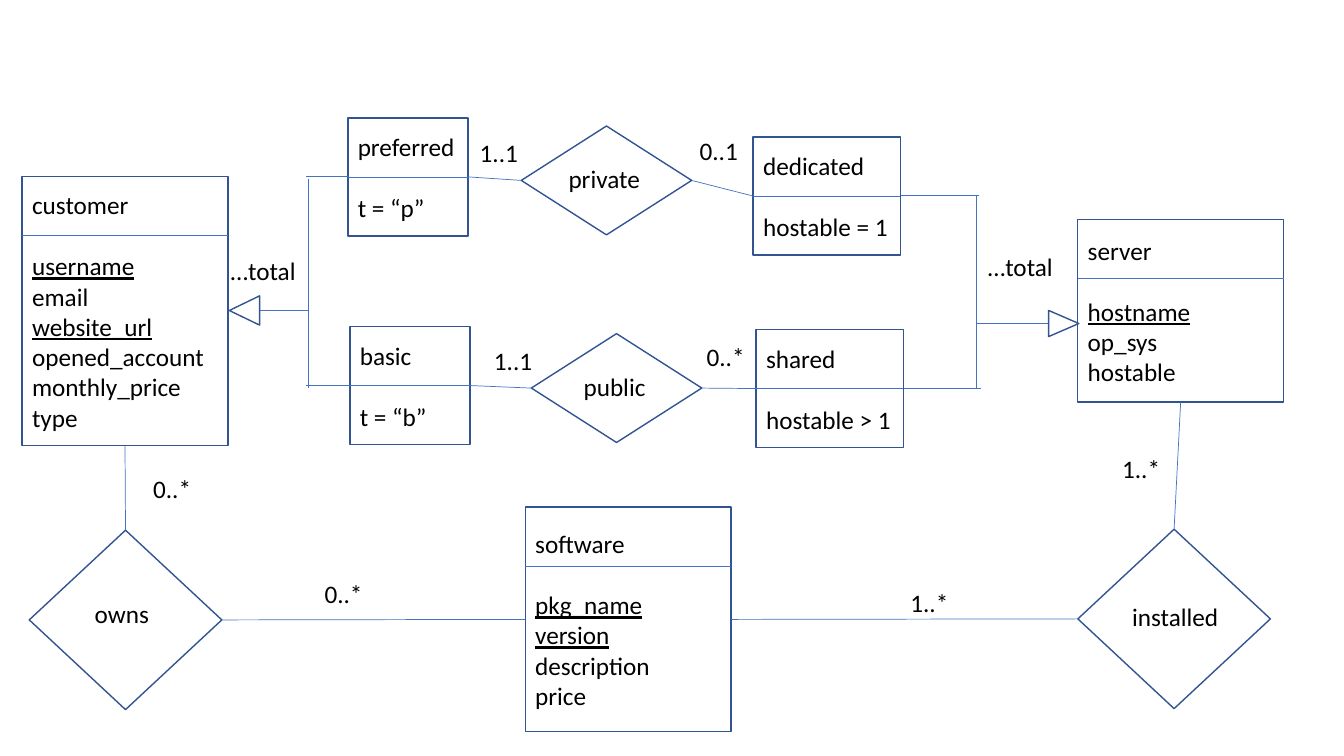
from typing import NamedTuple

from lxml import etree
from pptx import Presentation
from pptx.dml.color import RGBColor
from pptx.enum.shapes import MSO_CONNECTOR, MSO_SHAPE
from pptx.enum.text import MSO_ANCHOR, MSO_AUTO_SIZE, PP_ALIGN
from pptx.oxml.ns import qn
from pptx.util import Inches, Pt

RECT = MSO_SHAPE.RECTANGLE
DIAMOND = MSO_SHAPE.DIAMOND
TRIANGLE = MSO_SHAPE.ISOSCELES_TRIANGLE
STRAIGHT = MSO_CONNECTOR.STRAIGHT
MIDDLE = MSO_ANCHOR.MIDDLE
GROW = MSO_AUTO_SIZE.SHAPE_TO_FIT_TEXT
LEFT_ALIGN = PP_ALIGN.LEFT

OUTLINE = RGBColor(0x32, 0x54, 0x91)
LINK = RGBColor(0x44, 0x72, 0xC4)
BLACK = RGBColor(0x00, 0x00, 0x00)
FONT = "Calibri"
TEXT_SIZE = Pt(18)
BLANK_LINE = Pt(22)
HEADER_HEIGHT = 0.585
TOP, LEFT, BOTTOM, RIGHT = range(4)


class Entity(NamedTuple):
    name: str
    x: float
    y: float
    w: float
    h: float
    attributes: tuple[str, ...]
    keys: tuple[str, ...] = ()


class Relationship(NamedTuple):
    name: str
    x: float
    y: float
    w: float
    h: float


class Link(NamedTuple):
    start: str
    start_side: int
    end: str
    end_side: int


class Label(NamedTuple):
    text: str
    x: float
    y: float
    w: float


class Arrowhead(NamedTuple):
    x: float
    y: float
    w: float
    h: float
    rotation: int


class Line(NamedTuple):
    x1: float
    y1: float
    x2: float
    y2: float


ENTITIES = [
    Entity("customer", 0.22, 1.75, 2.04, 2.67,
           ("username", "email", "website_url", "opened_account", "monthly_price", "type"),
           ("username", "website_url")),
    Entity("server", 10.69, 2.18, 2.04, 1.81,
           ("hostname", "op_sys", "hostable"), ("hostname",)),
    Entity("software", 5.21, 5.03, 2.04, 2.23,
           ("pkg_name", "version", "description", "price"), ("pkg_name", "version")),
    Entity("preferred", 3.45, 1.17, 1.19, 1.17, ("t = “p”",)),
    Entity("basic", 3.47, 3.24, 1.19, 1.17, ("t = “b”",)),
    Entity("dedicated", 7.47, 1.36, 1.46, 1.17, ("hostable = 1",)),
    Entity("shared", 7.5, 3.27, 1.46, 1.17, ("hostable > 1",)),
]
RELATIONSHIPS = [
    Relationship("private", 5.17, 1.25, 1.69, 1.08),
    Relationship("public", 5.27, 3.31, 1.69, 1.08),
    Relationship("owns", 0.29, 5.26, 1.91, 1.78),
    Relationship("installed", 10.69, 5.25, 1.91, 1.78),
]
LINKS = [
    Link("preferred", RIGHT, "private", LEFT),
    Link("private", RIGHT, "dedicated", LEFT),
    Link("basic", RIGHT, "public", LEFT),
    Link("public", RIGHT, "shared", LEFT),
    Link("customer", BOTTOM, "owns", TOP),
    Link("owns", RIGHT, "software", LEFT),
    Link("software", RIGHT, "installed", LEFT),
    Link("server", BOTTOM, "installed", TOP),
]
HIERARCHY_LINES = [
    Line(2.58, 3.08, 3.06, 3.08),
    Line(3.06, 1.78, 3.06, 3.85),
    Line(3.45, 1.75, 3.04, 1.75),
    Line(3.47, 3.82, 3.04, 3.82),
    Line(10.4, 3.21, 9.68, 3.21),
    Line(9.68, 3.85, 9.68, 1.94),
    Line(8.94, 1.94, 9.71, 1.94),
    Line(8.97, 3.85, 9.73, 3.85),
]
ARROWHEADS = [
    Arrowhead(2.28, 2.93, 0.29, 0.3, 270),
    Arrowhead(10.42, 3.06, 0.26, 0.3, 90),
]
LABELS = [
    Label("…total", 2.19, 2.48, 1.31),
    Label("…total", 9.7, 2.44, 1.19),
    Label("0..*", 3.12, 5.69, 1.59),
    Label("1..*", 11.03, 4.45, 1.59),
    Label("0..*", 1.42, 4.65, 1.59),
    Label("1..*", 8.93, 5.78, 1.59),
    Label("0..*", 6.91, 3.34, 0.61),
    Label("1..1", 4.8, 3.38, 0.61),
    Label("0..1", 6.84, 1.29, 0.62),
    Label("1..1", 4.66, 1.31, 0.66),
    Label("private", 5.54, 1.57, 1.09),
    Label("public", 5.69, 3.63, 1.07),
    Label("owns", 0.84, 5.89, 1.42),
    Label("installed", 11.13, 5.92, 1.47),
]


def add_text(p, text: str, underline: bool = False) -> None:
    p.alignment = LEFT_ALIGN
    r = p.add_run()
    r.text = text
    r.font.name = FONT
    r.font.size = TEXT_SIZE
    r.font.color.rgb = BLACK
    r.font.underline = underline


def add_outline(s, kind, x: float, y: float, w: float, h: float):
    sp = s.shapes.add_shape(kind, Inches(x), Inches(y), Inches(w), Inches(h))
    sp.shadow.inherit = False
    sp.fill.background()
    sp.line.color.rgb = OUTLINE
    sp.line.width = Pt(1)
    return sp


def add_line(s, line: Line):
    cxn = s.shapes.add_connector(STRAIGHT, *(Inches(v) for v in line))
    cxn.line.color.rgb = LINK
    cxn.line.width = Pt(0.5)
    etree.SubElement(cxn.element.spPr, qn("a:effectLst"))
    return cxn


def add_entity(s, e: Entity):
    sp = add_outline(s, RECT, e.x, e.y, e.w, e.h)
    tf = sp.text_frame
    tf.word_wrap = True
    tf.vertical_anchor = MIDDLE
    add_text(tf.paragraphs[0], e.name)
    for i, attribute in enumerate(e.attributes):
        p = tf.add_paragraph()
        if i == 0:
            p.space_before = BLANK_LINE
        add_text(p, attribute, attribute in e.keys)
    divider = e.y + HEADER_HEIGHT
    add_line(s, Line(e.x, divider, e.x + e.w, divider))
    return sp


def add_link(s, link: Link, nodes: dict) -> None:
    cxn = add_line(s, Line(0, 0, 0, 0))
    cxn.begin_connect(nodes[link.start], link.start_side)
    cxn.end_connect(nodes[link.end], link.end_side)


def add_label(s, label: Label) -> None:
    sp = s.shapes.add_textbox(Inches(label.x), Inches(label.y), Inches(label.w), Inches(0.4))
    tf = sp.text_frame
    tf.word_wrap = True
    tf.auto_size = GROW
    add_text(tf.paragraphs[0], label.text)


prs = Presentation()
prs.slide_width, prs.slide_height = Inches(13.33), Inches(7.5)
s = prs.slides.add_slide(prs.slide_layouts[6])

nodes = {e.name: add_entity(s, e) for e in ENTITIES}
for rel in RELATIONSHIPS:
    nodes[rel.name] = add_outline(s, DIAMOND, rel.x, rel.y, rel.w, rel.h)
for link in LINKS:
    add_link(s, link, nodes)
for line in HIERARCHY_LINES:
    add_line(s, line)
for a in ARROWHEADS:
    add_outline(s, TRIANGLE, a.x, a.y, a.w, a.h).rotation = a.rotation
for label in LABELS:
    add_label(s, label)

prs.save("out.pptx")
